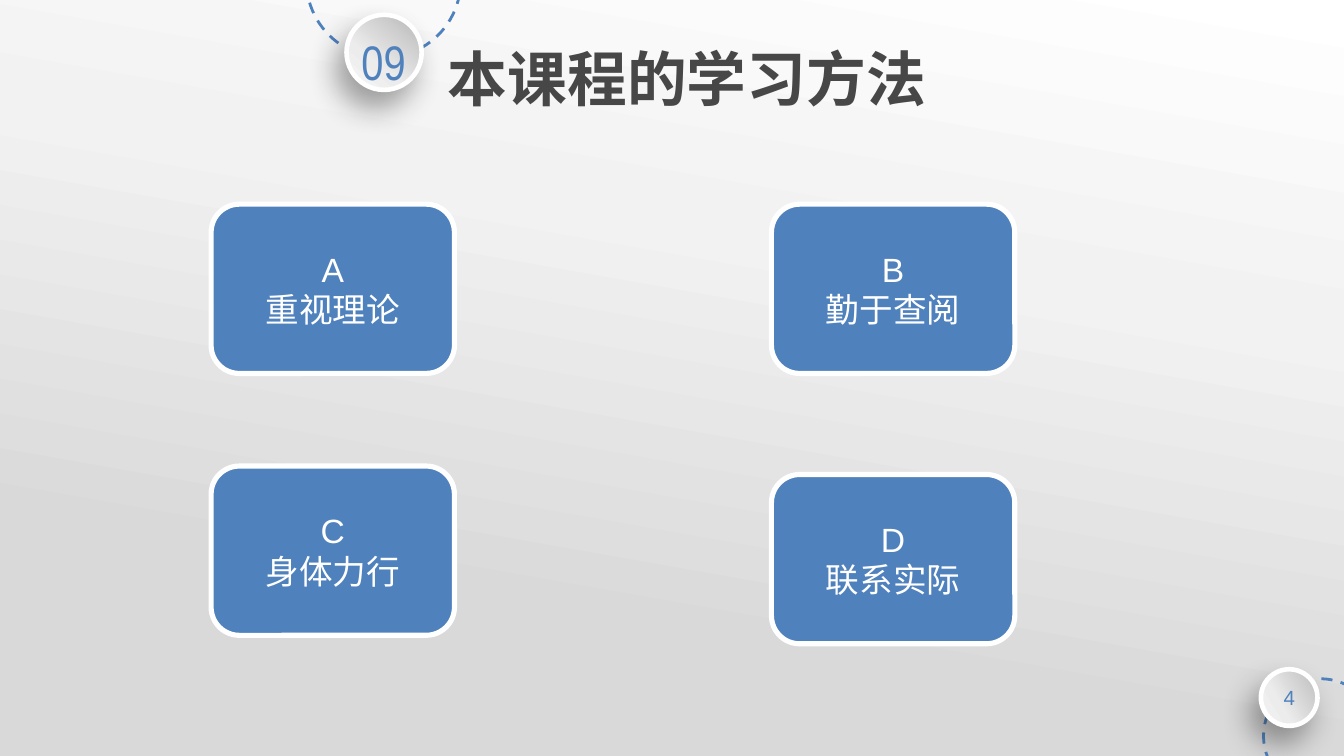
from dataclasses import dataclass

import pptx
import pptx.util
from lxml import etree
from pptx.dml.color import RGBColor
from pptx.enum.dml import MSO_LINE
from pptx.enum.shapes import MSO_SHAPE
from pptx.enum.text import MSO_ANCHOR, PP_ALIGN
from pptx.oxml.ns import qn
from pptx.util import Cm, Pt


@dataclass(frozen=True)
class Theme:
    blue: str = "4F81BD"
    white: str = "FFFFFF"
    title: str = "474747"
    shadow: str = "1A1A1A"
    page_stops: tuple = ((0, "FFFFFF"), (34, "F2F2F2"), (76, "D9D9D9"))
    disc_stops: tuple = ((9, "BEBEBE"), (63, "ECECEC"), (100, "F7F7F7"))
    cjk: str = "Noto Sans CJK SC"
    latin: str = "Arial"
    narrow: str = "Arial Narrow"
    title_size: int = 32
    badge_size: int = 26
    card_size: int = 18
    page_size: int = 11


THEME = Theme()


def rgb(value):
    return RGBColor.from_string(value)


def add_color(parent, value):
    return etree.SubElement(parent, qn("a:srgbClr"), val=value)


def set_gradient(fill, owner, stops, angle):
    """Give the fill any number of stops; the angle runs clockwise."""
    fill.gradient()
    fill.gradient_angle = 360 - angle
    stop_list = owner.find(".//" + qn("a:gsLst"))
    for old in list(stop_list):
        stop_list.remove(old)
    for position, color in stops:
        gs = etree.SubElement(stop_list, qn("a:gs"), pos=str(position * 1000))
        add_color(gs, color)


def set_text(sp, lines, size, color, font, bold=False, margins=None):
    tf = sp.text_frame
    tf.text = "\n".join(lines)
    if margins:
        tf.margin_left = tf.margin_right = Cm(margins[0])
        tf.margin_top = tf.margin_bottom = Cm(margins[1])
    for p in tf.paragraphs:
        p.alignment = PP_ALIGN.CENTER
        for r in p.runs:
            r.font.size = Pt(size)
            r.font.bold = bold
            r.font.name = font
            r.font.color.rgb = rgb(color)
            latin = r.font._element.find(qn("a:latin"))
            latin.addnext(etree.Element(qn("a:ea"), typeface=THEME.cjk))


def add_circle(shapes, left, top, size, line_color, line_width, turned):
    sp = shapes.add_shape(MSO_SHAPE.OVAL, Cm(left), Cm(top), Cm(size), Cm(size))
    sp.shadow.inherit = False
    sp.line.color.rgb = rgb(line_color)
    sp.line.width = Pt(line_width)
    if turned:
        sp.rotation = 99.1
        sp.element.spPr.find(qn("a:xfrm")).set("flipH", "1")
    return sp


def add_ring(shapes, left, top, size, turned=False):
    sp = add_circle(shapes, left, top, size, THEME.blue, 1.5, turned)
    sp.fill.background()
    sp.line.dash_style = MSO_LINE.DASH


def add_disc(shapes, left, top, size, turned=False):
    sp = add_circle(shapes, left, top, size, THEME.white, 2.5, turned)
    set_gradient(sp.fill, sp.element.spPr, THEME.disc_stops, 130)
    effects = sp.element.spPr.find(qn("a:effectLst"))
    shadow = etree.SubElement(
        effects, qn("a:outerShdw"), blurRad=str(Pt(16)), dist=str(Pt(10)),
        dir=str(120 * 60000), algn="ctr", rotWithShape="0")
    etree.SubElement(add_color(shadow, THEME.shadow), qn("a:alpha"), val="40000")


def add_label(shapes, box, text, size, font, wrap, margins=None):
    sp = shapes.add_textbox(*map(Cm, box))
    sp.text_frame.word_wrap = wrap
    set_text(sp, [text], size, THEME.blue, font, margins=margins)


def add_card(s, left, top, lines):
    sp = s.shapes.add_shape(MSO_SHAPE.ROUNDED_RECTANGLE,
                            Cm(left), Cm(top), Cm(4.6), Cm(3.2))
    sp.shadow.inherit = False
    sp.fill.solid()
    sp.fill.fore_color.rgb = rgb(THEME.blue)
    sp.line.color.rgb = rgb(THEME.white)
    sp.line.width = Pt(2.75)
    sp.text_frame.vertical_anchor = MSO_ANCHOR.MIDDLE
    set_text(sp, lines, THEME.card_size, THEME.white, THEME.latin)


def set_title(s, text):
    sp = s.shapes.title
    sp.left, sp.top, sp.width, sp.height = map(Cm, (7.37, 0.69, 11.23, 1.55))
    sp.text_frame.vertical_anchor = MSO_ANCHOR.MIDDLE
    set_text(sp, [text], THEME.title_size, THEME.title, THEME.cjk,
             bold=True, margins=(0.18, 0.1))


def add_page_number(s, number):
    add_ring(s.shapes, 23.88, 12.83, 2.16, turned=True)
    add_disc(s.shapes, 23.83, 12.65, 1.07, turned=True)
    add_label(s.shapes, (23.85, 12.85, 1.04, 0.69), number,
              THEME.page_size, THEME.latin, True, margins=(0.18, 0.1))


def add_section_badge(s, number):
    shapes = s.shapes.add_group_shape().shapes
    add_ring(shapes, 5.79, -1.83, 2.92)
    add_disc(shapes, 6.55, 0.28, 1.42)
    add_label(shapes, (6.5, 0.48, 1.5, 1.37), number,
              THEME.badge_size, THEME.narrow, False)


def main():
    prs = pptx.Presentation()
    prs.slide_width, prs.slide_height = Cm(25.4), Cm(14.29)
    s = prs.slides.add_slide(prs.slide_layouts[5])
    set_gradient(s.background.fill, s.element, THEME.page_stops, 100)

    set_title(s, "本课程的学习方法")
    add_page_number(s, "4")
    add_section_badge(s, "09")

    left, right = 3.99, 14.58
    add_card(s, left, 3.86, ["A", "重视理论"])
    add_card(s, right, 3.86, ["B", "勤于查阅"])
    add_card(s, left, 8.81, ["C", "身体力行"])
    add_card(s, right, 8.97, ["D", "联系实际"])

    prs.save("out.pptx")


if __name__ == "__main__":
    main()
